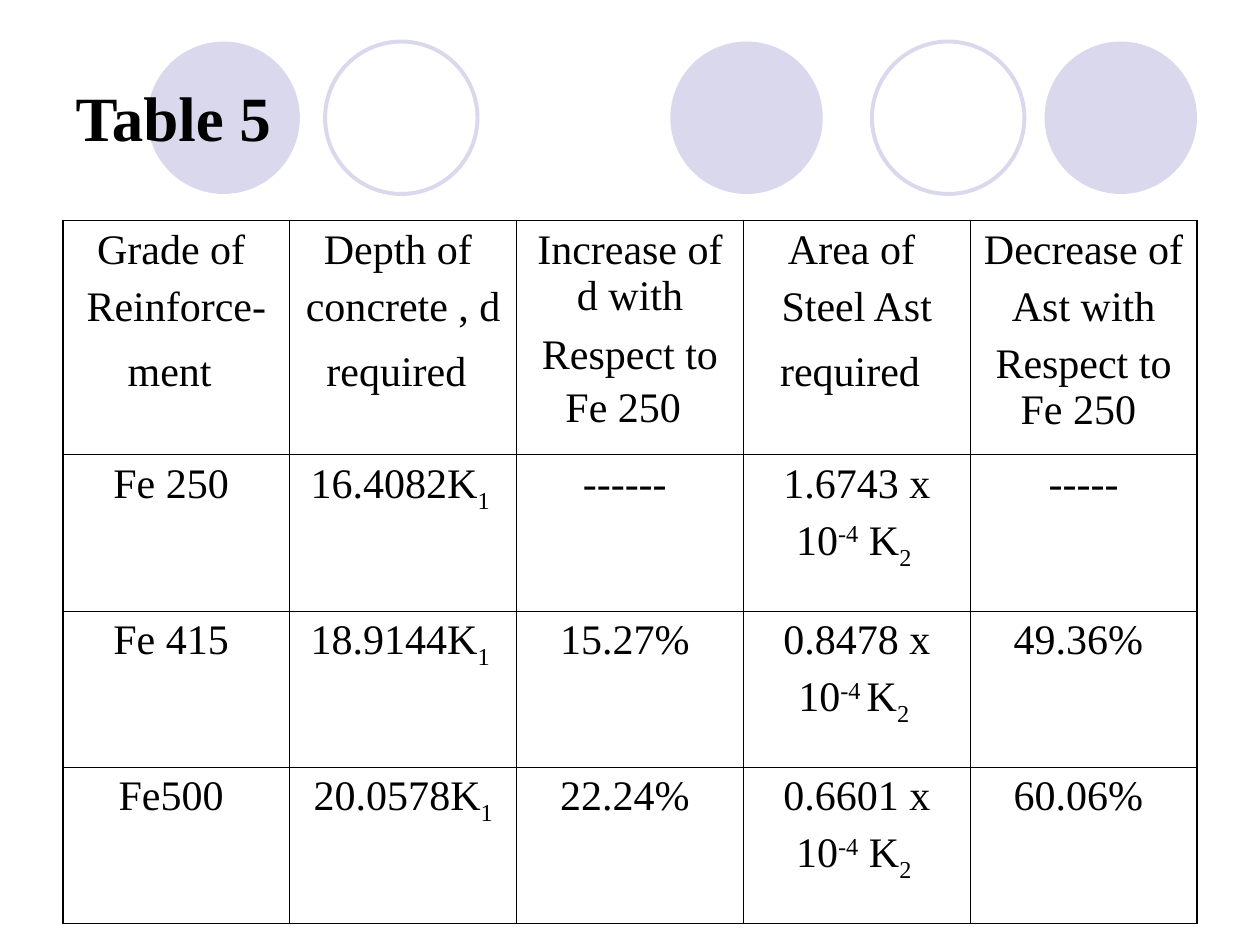
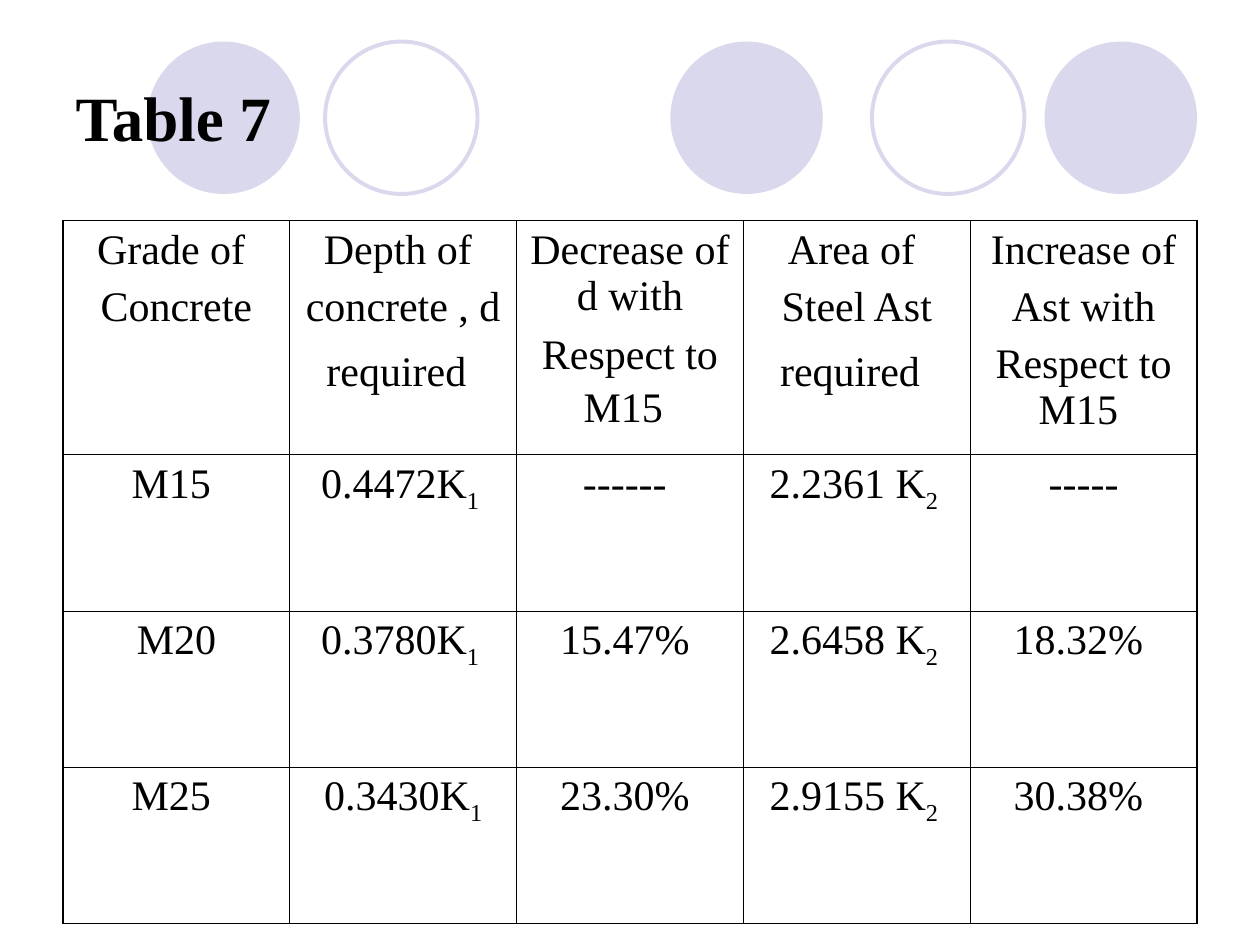
from lxml.etree import SubElement
from pptx import Presentation
from pptx.dml.color import RGBColor
from pptx.enum.text import MSO_ANCHOR, PP_ALIGN
from pptx.oxml.ns import qn
from pptx.util import Inches, Pt

COLORS = {"text": "000000", "border": "000000", "circle": "D9D8EC"}
BODY_FONT = "Times New Roman"
SPACER_FONT = "Arial"
CIRCLES = [(5.32, True), (8.29, True), (1.17, True), (6.92, False), (2.58, False)]
BASELINES = {"_": "-25000", "^": "30000"}
TALL_SPACE = "|~ "


class Deck:
    """Hold the shared style and the current slide, and draw each kind of element."""

    def __init__(self):
        self.presentation = Presentation()
        self.presentation.slide_width = Inches(10)
        self.presentation.slide_height = Inches(7.5)
        self.layout = self.presentation.slide_layouts[5]
        self.slide = None
        for number, (left, filled) in enumerate(CIRCLES, 1):
            self.layout_circle(number, left, filled)

    def color(self, name):
        return RGBColor.from_string(COLORS[name])

    def layout_circle(self, number, left, filled):
        self.layout.shapes.element.add_autoshape(
            20 + number, f"Circle {number}", "ellipse",
            Inches(left), Inches(0.33), Inches(1.21), Inches(1.21))
        circle = self.layout.shapes[-1]
        circle.shadow.inherit = False
        if filled:
            circle.fill.solid()
            circle.fill.fore_color.rgb = self.color("circle")
            circle.line.fill.background()
        else:
            circle.fill.background()
            circle.line.color.rgb = self.color("circle")
            circle.line.width = Pt(2.25)

    def new_slide(self, title):
        self.slide = self.presentation.slides.add_slide(self.layout)
        shape = self.slide.shapes.title
        shape.left, shape.top = Inches(0.5), Inches(0.3)
        shape.width, shape.height = Inches(9), Inches(1.25)
        frame = shape.text_frame
        frame.text = title
        frame.vertical_anchor = MSO_ANCHOR.MIDDLE
        paragraph = frame.paragraphs[0]
        paragraph.alignment = PP_ALIGN.LEFT
        self.style_font(paragraph.font, 36, bold=True)

    def style_font(self, font, size, bold=False):
        font.name = BODY_FONT
        font.size = Pt(size)
        font.bold = bold
        font.color.rgb = self.color("text")

    def table(self, rows):
        frame = self.slide.shapes.add_table(
            len(rows), len(rows[0]), Inches(0.5), Inches(1.75), Inches(9), Inches(5.58))
        table = frame.table
        table.first_row = table.horz_banding = False
        last_row, last_column = len(rows) - 1, len(rows[0]) - 1
        for row_index, row in enumerate(rows):
            table.rows[row_index].height = Inches(1.24 if row_index else 1.86)
            for column_index, lines in enumerate(row):
                cell = table.cell(row_index, column_index)
                self.cell_text(cell, lines)
                self.cell_borders(cell, {
                    "lnL": column_index == 0, "lnR": column_index == last_column,
                    "lnT": row_index == 0, "lnB": row_index == last_row})
                cell.fill.background()

    def cell_text(self, cell, lines):
        frame = cell.text_frame
        for index, line in enumerate(lines):
            paragraph = frame.add_paragraph() if index else frame.paragraphs[0]
            paragraph.alignment = PP_ALIGN.CENTER
            if index:
                paragraph.space_before = Pt(7 if line.endswith(TALL_SPACE) else 6)
            self.style_font(paragraph.font, 24)
            for piece in line.split("|"):
                self.run(paragraph, piece)

    def run(self, paragraph, piece):
        mark = piece[0]
        run = paragraph.add_run()
        run.text = piece[1:] if mark in "_^~" else piece
        if mark in BASELINES:
            run.font._element.set("baseline", BASELINES[mark])
        elif mark == "~":
            run.font.name = SPACER_FONT
            run.font.size = Pt(28)

    def cell_borders(self, cell, edges):
        properties = cell._tc.get_or_add_tcPr()
        for tag, outer in edges.items():
            line = SubElement(properties, qn(f"a:{tag}"), w=str(Pt(1.08 if outer else 0.45)))
            fill = SubElement(line, qn("a:solidFill"))
            SubElement(fill, qn("a:srgbClr"), val=COLORS["border"])


def header(grade_lines, depth_change, area_change, base):
    required = "required" + TALL_SPACE
    return [
        ["Grade of ", *grade_lines],
        ["Depth of ", "concrete , d", required],
        [f"{depth_change} of d with", f"Respect to {base}{TALL_SPACE}"],
        ["Area of ", "Steel Ast", required],
        [f"{area_change} of", "Ast with", f"Respect to {base} "],
    ]


def main():
    deck = Deck()

    deck.new_slide("Table 5")
    deck.table([
        header(["Reinforce-", "ment" + TALL_SPACE], "Increase", "Decrease", "Fe 250"),
        [["Fe 250 "], ["16.4082K|_1 "], ["------ "],
         ["1.6743 x", "10|^-4| K|_2 "], ["-----"]],
        [["Fe 415 "], ["18.9144K|_1 "], ["15.27% "],
         ["0.8478 x", "10|^-4 |K|_2 "], ["49.36% "]],
        [["Fe500 "], ["20.0578K|_1"], ["22.24% "],
         ["0.6601 x", "10|^-4| K|_2 "], ["60.06% "]],
    ])

    deck.new_slide("Table 7")
    deck.table([
        header(["Concrete"], "Decrease", "Increase", "M15"),
        [["M15 "], ["0.4472K|_1 "], ["------ "], ["2.2361 K|_2 "], ["-----"]],
        [["M20"], ["0.3780K|_1 "], ["15.47% "], ["2.6458 K|_2 "], ["18.32% "]],
        [["M25 "], ["0.3430K|_1"], ["23.30% "], ["2.9155 K|_2 "], ["30.38% "]],
    ])

    deck.presentation.save("out.pptx")


if __name__ == "__main__":
    main()
